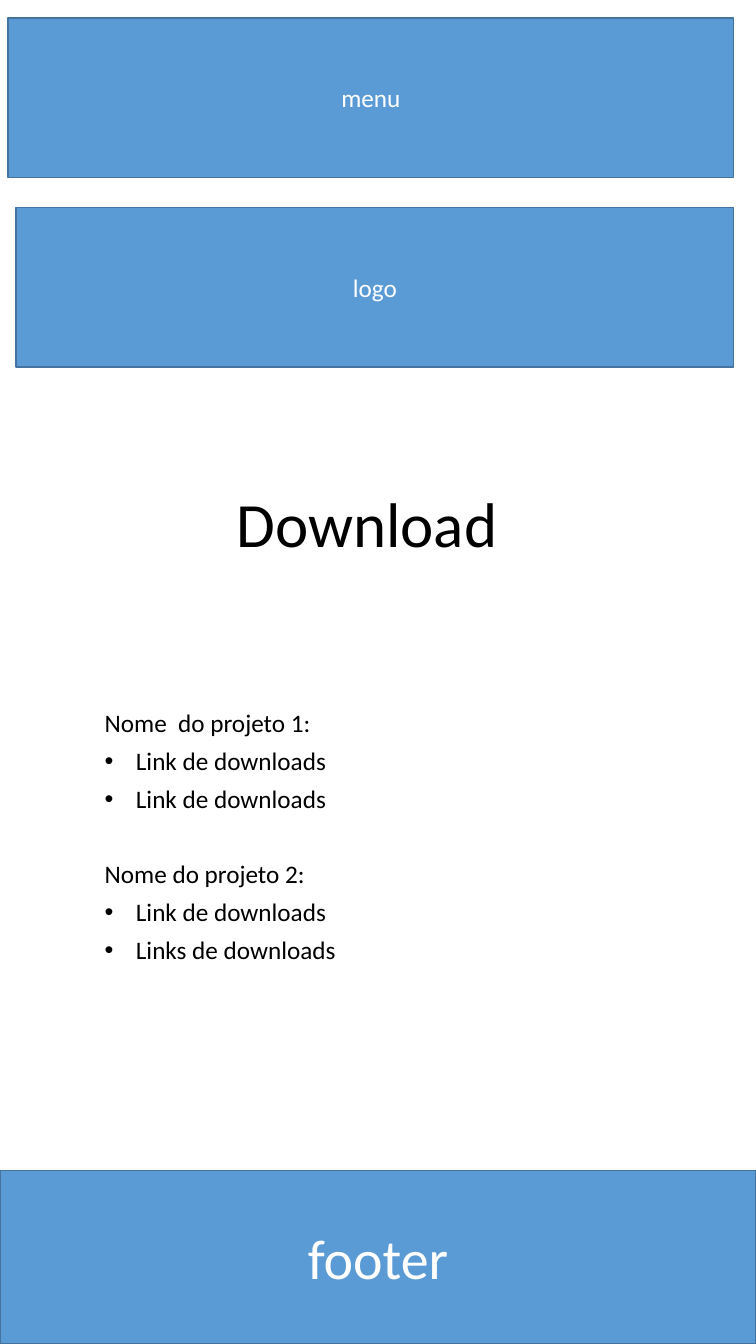
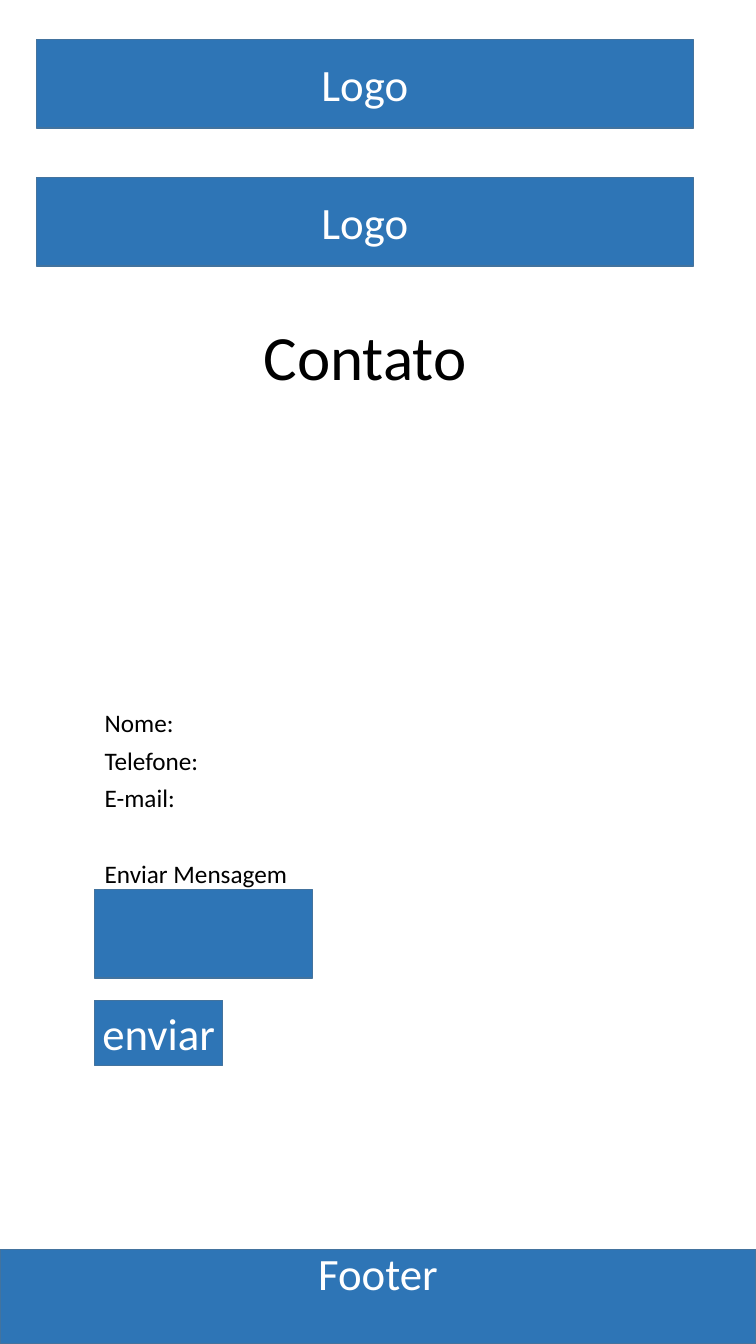
"""Builds two page wireframes: the download page and the contact page."""
from dataclasses import dataclass
from typing import Optional

from lxml import etree
from pptx import Presentation
from pptx.dml.color import RGBColor
from pptx.enum.shapes import MSO_SHAPE
from pptx.enum.text import MSO_ANCHOR, PP_ALIGN
from pptx.oxml.ns import qn
from pptx.slide import Slide
from pptx.text.text import TextFrame, _Paragraph
from pptx.util import Inches, Pt

RECTANGLE = MSO_SHAPE.RECTANGLE
MIDDLE, BOTTOM = MSO_ANCHOR.MIDDLE, MSO_ANCHOR.BOTTOM
CENTER, LEFT = PP_ALIGN.CENTER, PP_ALIGN.LEFT

FONT = "Calibri"
BLACK = RGBColor(0x00, 0x00, 0x00)
WHITE = RGBColor(0xFF, 0xFF, 0xFF)
LIGHT_BLUE = RGBColor(0x5B, 0x9B, 0xD5)
DARK_BLUE = RGBColor(0x2E, 0x75, 0xB6)
OUTLINE = RGBColor(0x43, 0x73, 0x9E)

PAGE_WIDTH, PAGE_HEIGHT = 7.5, 13.33
CONTENT_LEFT, CONTENT_TOP, CONTENT_WIDTH = 0.94, 7, 5.62
LINE_SPACING = 0.9
LINE_GAP, GROUP_GAP = 7.5, 34.5
BULLET_INDENT = 0.31


@dataclass(frozen=True)
class Area:
    """A rectangle on the page, in inches."""
    left: float
    top: float
    width: float
    height: float

    def lengths(self) -> tuple:
        """Return the four measures as lengths."""
        return tuple(Inches(v) for v in (self.left, self.top, self.width, self.height))


@dataclass(frozen=True)
class Block:
    """A filled block with an optional centred label."""
    area: Area
    label: str = ""
    bottom_inset: Optional[float] = None


@dataclass(frozen=True)
class BlockStyle:
    """The look shared by the blocks of one page."""
    fill: RGBColor
    side_inset: float
    edge_inset: float


@dataclass(frozen=True)
class Line:
    """One line of body text."""
    text: str
    bullet: bool = False
    starts_group: bool = False


@dataclass(frozen=True)
class Page:
    """The content of one slide."""
    title: str
    title_area: Area
    body_height: float
    lines: list[Line]
    style: BlockStyle
    blocks: list[tuple[Block, float]]


LIGHT_STYLE = BlockStyle(LIGHT_BLUE, 0.1, 0.05)
DARK_STYLE = BlockStyle(DARK_BLUE, 0.06, 0.03)


def footer(label: str, height: float, bottom_inset: Optional[float] = None) -> Block:
    """Return a full-width block resting on the bottom of the page."""
    return Block(Area(0, PAGE_HEIGHT - height, PAGE_WIDTH, height), label, bottom_inset)


PAGES = [
    Page(
        "Download", Area(0.16, 4.32, 6.96, 1.29), 3.22,
        [
            Line("Nome  do projeto 1:"),
            Line("Link de downloads", bullet=True),
            Line("Link de downloads", bullet=True),
            Line("Nome do projeto 2:", starts_group=True),
            Line("Link de downloads", bullet=True),
            Line("Links de downloads", bullet=True),
        ],
        LIGHT_STYLE,
        [
            (footer("footer", 1.72), 40),
            (Block(Area(0.08, 0.18, 7.2, 1.58), "menu"), 18),
            (Block(Area(0.16, 2.06, 7.12, 1.58), "logo"), 18),
        ],
    ),
    Page(
        "Contato", Area(0.36, 2.88, 6.52, 1.08), 2.14,
        [
            Line("Nome:"),
            Line("Telefone:"),
            Line("E-mail:"),
            Line("Enviar Mensagem", starts_group=True),
        ],
        DARK_STYLE,
        [
            *((Block(Area(0.36, top, 6.52, 0.88), "Logo"), 32) for top in (0.39, 1.76)),
            (footer("Footer", 0.94, bottom_inset=0.5), 32),
            (Block(Area(CONTENT_LEFT, 8.82, 2.16, 0.88)), 32),
            (Block(Area(CONTENT_LEFT, 9.92, 1.27, 0.65), "enviar"), 32),
        ],
    ),
]


def format_paragraph(paragraph: _Paragraph, size: float, color: RGBColor, align: int) -> None:
    """Set the alignment and the font of a paragraph."""
    paragraph.alignment = align
    for run in paragraph.runs:
        run.font.name = FONT
        run.font.size = Pt(size)
        run.font.color.rgb = color


def add_bullet(paragraph: _Paragraph) -> None:
    """Give a paragraph a hanging bullet."""
    properties = paragraph._p.get_or_add_pPr()
    properties.set("marL", str(Inches(BULLET_INDENT)))
    properties.set("indent", str(-Inches(BULLET_INDENT)))
    etree.SubElement(properties, qn("a:buFont")).set("typeface", "Arial")
    etree.SubElement(properties, qn("a:buChar")).set("char", "•")


def add_text_frame(slide: Slide, area: Area) -> TextFrame:
    """Add a wrapping text box and return its frame."""
    frame = slide.shapes.add_textbox(*area.lengths()).text_frame
    frame.word_wrap = True
    return frame


def add_title(slide: Slide, title: str, area: Area) -> None:
    """Add the centred page title."""
    frame = add_text_frame(slide, area)
    frame.vertical_anchor = BOTTOM
    frame.text = title
    heading = frame.paragraphs[0]
    heading.line_spacing = LINE_SPACING
    format_paragraph(heading, 45, BLACK, CENTER)


def add_body(slide: Slide, lines: list[Line], height: float) -> None:
    """Add the body lines, with a wider gap before each new group."""
    frame = add_text_frame(slide, Area(CONTENT_LEFT, CONTENT_TOP, CONTENT_WIDTH, height))
    frame.text = "\n".join(line.text for line in lines)
    for paragraph, line in zip(frame.paragraphs, lines):
        paragraph.line_spacing = LINE_SPACING
        paragraph.space_before = Pt(GROUP_GAP if line.starts_group else LINE_GAP)
        format_paragraph(paragraph, 18, BLACK, LEFT)
        if line.bullet:
            add_bullet(paragraph)


def add_block(slide: Slide, block: Block, style: BlockStyle, size: float) -> None:
    """Add a filled block and its label."""
    shape = slide.shapes.add_shape(RECTANGLE, *block.area.lengths())
    shape.shadow.inherit = False
    shape.fill.solid()
    shape.fill.fore_color.rgb = style.fill
    shape.line.color.rgb = OUTLINE
    shape.line.width = Pt(1)
    if not block.label:
        return
    frame = shape.text_frame
    frame.word_wrap = True
    frame.vertical_anchor = MIDDLE
    frame.margin_left = frame.margin_right = Inches(style.side_inset)
    frame.margin_top = Inches(style.edge_inset)
    frame.margin_bottom = Inches(block.bottom_inset or style.edge_inset)
    frame.text = block.label
    format_paragraph(frame.paragraphs[0], size, WHITE, CENTER)


def main() -> None:
    """Build and save the presentation."""
    presentation = Presentation()
    presentation.slide_width = Inches(PAGE_WIDTH)
    presentation.slide_height = Inches(PAGE_HEIGHT)
    blank_layout = presentation.slide_layouts[6]
    for page in PAGES:
        slide = presentation.slides.add_slide(blank_layout)
        add_title(slide, page.title, page.title_area)
        add_body(slide, page.lines, page.body_height)
        for block, size in page.blocks:
            add_block(slide, block, page.style, size)
    presentation.save("out.pptx")


if __name__ == "__main__":
    main()
